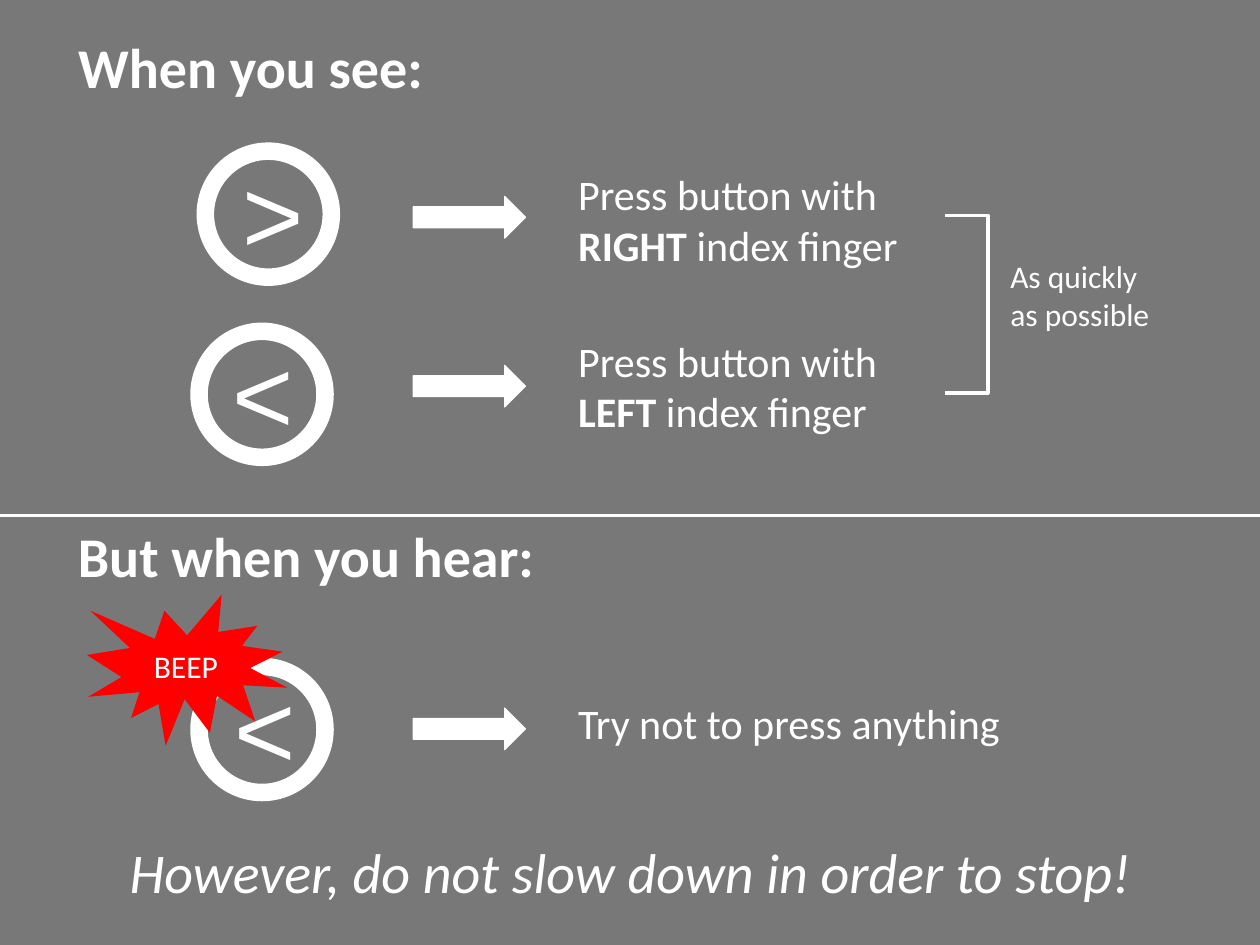
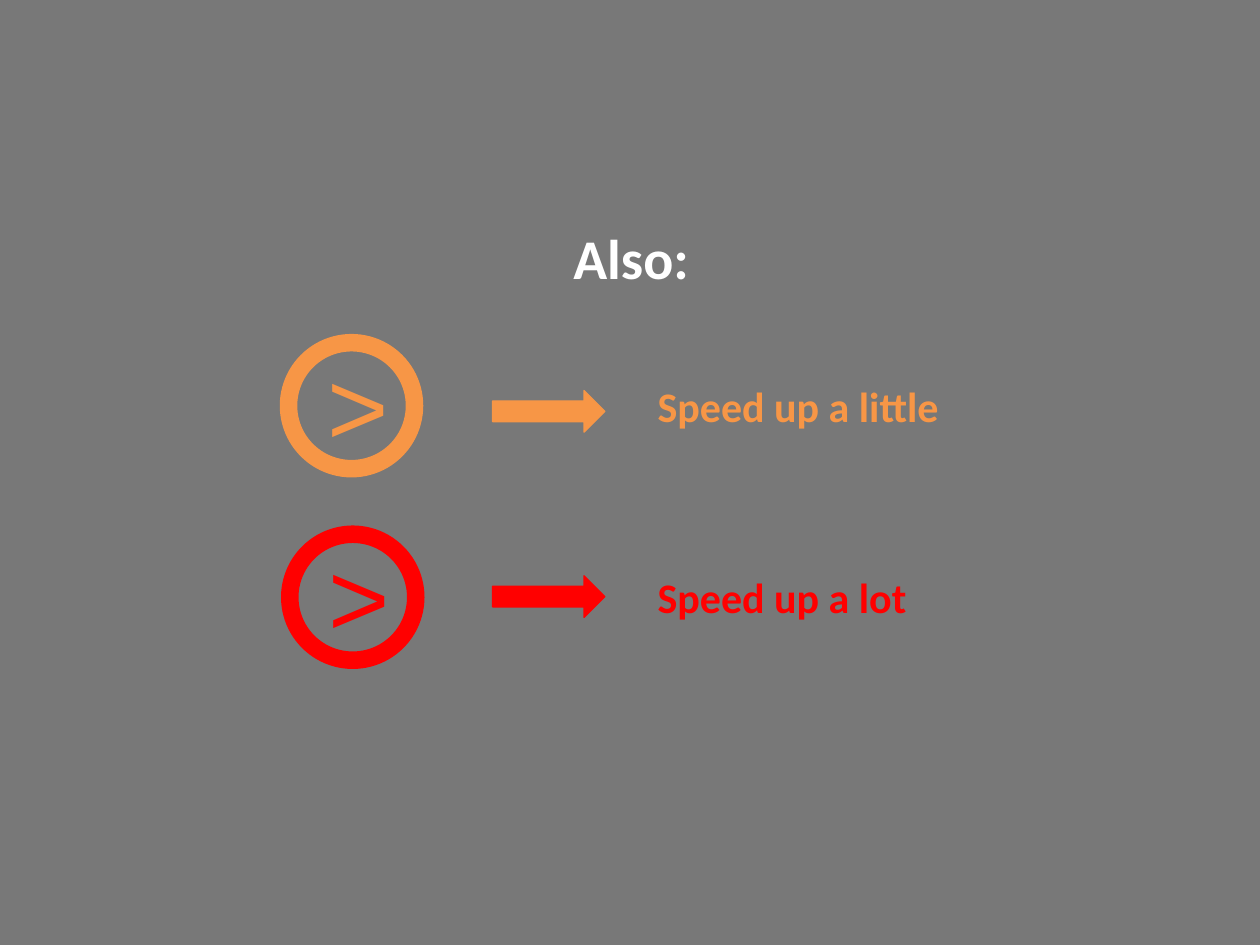
import dataclasses

import pptx
import pptx.dml.color
import pptx.enum.shapes
import pptx.enum.text
import pptx.oxml
import pptx.oxml.ns
import pptx.util

Inches = pptx.util.Inches
Pt = pptx.util.Pt
RGBColor = pptx.dml.color.RGBColor
Shape = pptx.enum.shapes.MSO_SHAPE
Align = pptx.enum.text.PP_ALIGN
Anchor = pptx.enum.text.MSO_ANCHOR
AutoSize = pptx.enum.text.MSO_AUTO_SIZE

GREY = RGBColor(0x78, 0x78, 0x78)
WHITE = RGBColor(0xFF, 0xFF, 0xFF)
ORANGE = RGBColor(0xF7, 0x96, 0x46)
RED = RGBColor(0xFF, 0x00, 0x00)

HEADING = {"name": "Calibri", "size": Pt(32), "bold": True}
CLOSING = {"name": "Calibri", "size": Pt(32), "italic": True}
CAPTION = {"name": "Calibri", "size": Pt(24)}
STRONG = {"name": "Calibri", "size": Pt(24), "bold": True}
NOTE = {"name": "Calibri", "size": Pt(18)}
SIGN = {"name": "Arial", "size": Pt(60)}

ARROW_OFFSET = 1.7
CAPTION_OFFSET = 2.91


@dataclasses.dataclass
class Rule:
    sign: str
    ring: tuple
    sign_offset: float
    arrow_top: float
    caption_box: tuple
    spans: list
    color: RGBColor = WHITE


def write(shape, spans, color=WHITE, align=Align.LEFT, anchor=Anchor.TOP,
          wrap=True, fit=AutoSize.SHAPE_TO_FIT_TEXT):
    settings = {"word_wrap": wrap, "auto_size": fit, "vertical_anchor": anchor}
    for name, value in settings.items():
        setattr(shape.text_frame, name, value)
    para = shape.text_frame.paragraphs[0]
    para.alignment = align
    for text, style in spans:
        span = para.add_run()
        span.text = text
        span.font.color.rgb = color
        for name, value in style.items():
            setattr(span.font, name, value)


def add_text(shapes, box, spans, **options):
    write(shapes.add_textbox(*map(Inches, box)), spans, **options)


def add_shape(shapes, kind, box, fill=None, line=None, weight=0.75):
    shape = shapes.add_shape(kind, *map(Inches, box))
    shape.shadow.inherit = False
    if fill is None:
        shape.fill.background()
    else:
        shape.fill.solid()
        shape.fill.fore_color.rgb = fill
    if line is None:
        shape.line.fill.background()
    else:
        shape.line.color.rgb = line
        shape.line.width = Pt(weight)
    return shape


def add_page(deck, title, box):
    page = deck.slides.add_slide(deck.slide_layouts[5])
    heading = page.shapes.title
    for name, value in zip(("left", "top", "width", "height"), box):
        setattr(heading, name, Inches(value))
    write(heading, [(title, HEADING)], wrap=False)
    return page


def add_sign(page, rule):
    left, top = rule.ring
    group = page.shapes.add_group_shape()
    add_shape(group.shapes, Shape.OVAL, (left, top, 1, 1), line=rule.color, weight=10)
    add_text(group.shapes, (left + rule.sign_offset, top - 0.07, 0.52, 0.84),
             [(rule.sign, SIGN)], color=rule.color, wrap=False)


def add_rule(page, left, rule):
    add_sign(page, rule)
    add_shape(page.shapes, Shape.RIGHT_ARROW,
              (left + ARROW_OFFSET, rule.arrow_top, 0.89, 0.33),
              fill=rule.color, line=rule.color)
    add_text(page.shapes, (left + CAPTION_OFFSET, *rule.caption_box),
             rule.spans, color=rule.color)


def add_divider(page, top, width):
    divider = page.shapes.add_connector(
        pptx.enum.shapes.MSO_CONNECTOR.STRAIGHT,
        Inches(0), Inches(top), Inches(width), Inches(top))
    divider.line.color.rgb = WHITE
    divider.line.width = Pt(2)
    properties = divider.element.find(pptx.oxml.ns.qn("p:spPr"))
    properties.append(pptx.oxml.parse_xml(
        "<a:effectLst %s/>" % pptx.oxml.ns.nsdecls("a")))


def add_speed_note(page, left, top):
    bracket = add_shape(page.shapes, Shape.RIGHT_BRACKET, (left, top, 0.34, 1.41),
                        line=WHITE, weight=2)
    bracket.adjustments[0] = 0
    add_text(page.shapes, (left + 0.42, top + 0.28, 1.4, 0.71),
             [("As quickly as possible", NOTE)])


def add_beep(page, box):
    burst = add_shape(page.shapes, Shape.EXPLOSION1, box, fill=RED)
    write(burst, [("BEEP", NOTE)], align=Align.CENTER, anchor=Anchor.MIDDLE,
          fit=AutoSize.NONE)


def build_task_page(deck):
    page = add_page(deck, "When you see:", (0.52, 0.21, 2.97, 0.64))
    rules = [
        Rule(">", (1.63, 1.2), 0.2, 1.56, (1.29, 3.35, 0.91),
             [("Press button with ", CAPTION), ("RIGHT ", STRONG),
              ("index finger", CAPTION)]),
        Rule("<", (1.58, 2.63), 0.17, 2.9, (2.61, 3.01, 0.91),
             [("Press button with ", CAPTION), ("LEFT", STRONG),
              (" index finger", CAPTION)]),
        Rule("<", (1.58, 5.29), 0.18, 5.62, (5.49, 4.13, 0.5),
             [("Try not to press anything", CAPTION)]),
    ]
    for rule in rules:
        add_rule(page, 1.58, rule)
    add_beep(page, (0.69, 4.72, 1.59, 1.2))
    add_speed_note(page, 7.5, 1.71)
    add_divider(page, 4.09, 10)
    add_text(page.shapes, (0.52, 4.09, 3.86, 0.64),
             [("But when you hear:", HEADING)], wrap=False)
    add_text(page.shapes, (0.93, 6.6, 8.39, 0.64),
             [("However, do not slow down in order to stop!", CLOSING)], wrap=False)


def build_speed_page(deck):
    page = add_page(deck, "Also:", (4.45, 1.72, 1.13, 0.64))
    rules = [
        Rule(">", (2.29, 2.72), 0.21, 3.1, (2.97, 3.69, 0.5),
             [("Speed up a little", STRONG)], ORANGE),
        Rule(">", (2.3, 4.24), 0.21, 4.57, (4.49, 3.18, 0.5),
             [("Speed up a lot", STRONG)], RED),
    ]
    for rule in rules:
        add_rule(page, 2.21, rule)


def main():
    deck = pptx.Presentation()
    deck.slide_width = Inches(10)
    deck.slide_height = Inches(7.5)
    backdrop = deck.slide_master.background.fill
    backdrop.solid()
    backdrop.fore_color.rgb = GREY
    build_task_page(deck)
    build_speed_page(deck)
    deck.save("out.pptx")


if __name__ == "__main__":
    main()
